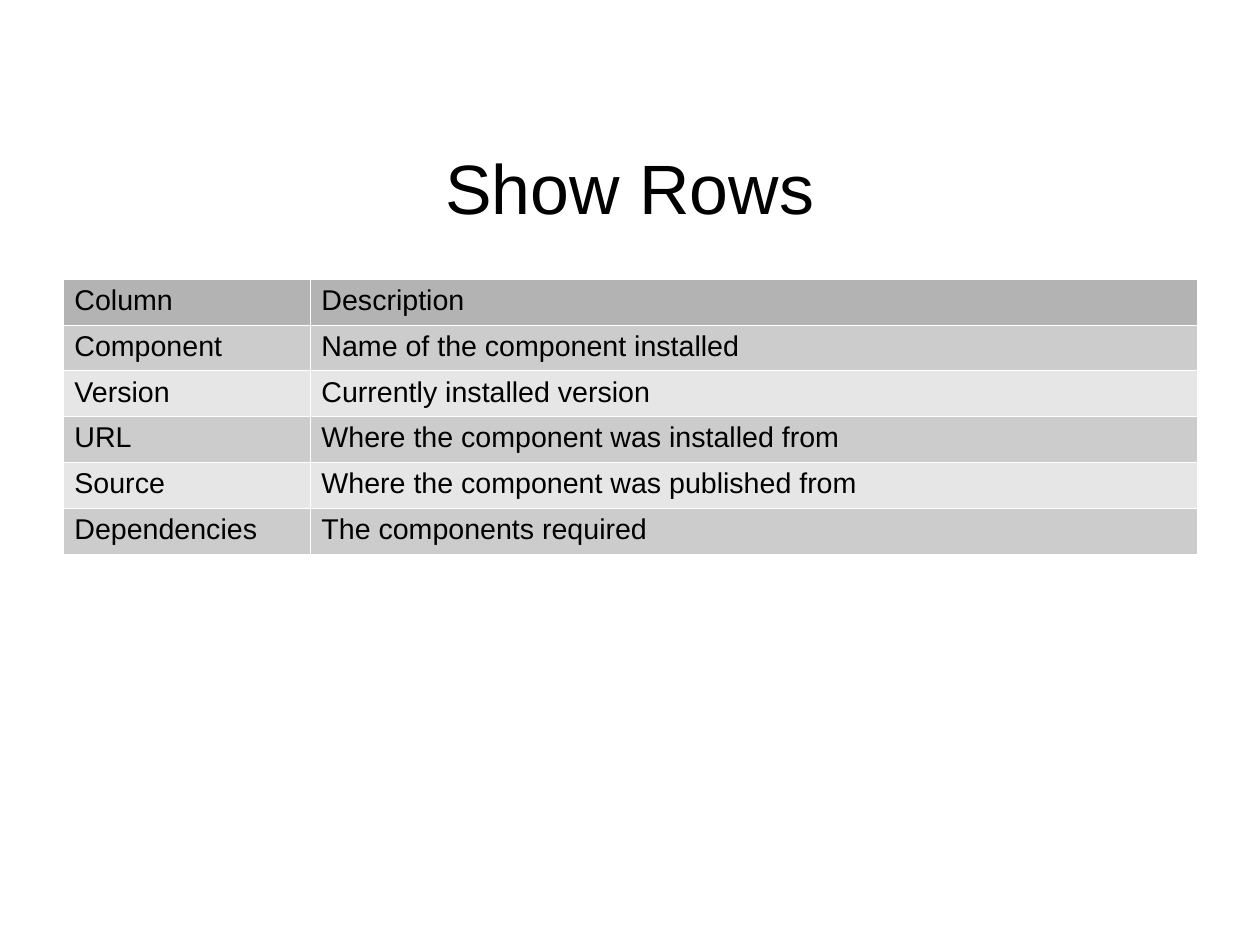
from lxml.etree import SubElement
from pptx import Presentation
from pptx.dml.color import RGBColor
from pptx.enum.text import MSO_ANCHOR, PP_ALIGN
from pptx.oxml.ns import qn
from pptx.util import Cm, Pt

COLORS = {
    "text": "000000",
    "border": "FFFFFF",
    "header": "B3B3B3",
    "odd": "CCCCCC",
    "even": "E6E6E6",
}
FONT = "Arial"
LEFT, WIDTH = Cm(1.4), Cm(25.2)
COLUMN_WIDTHS = (Cm(5.49), Cm(19.71))
ROW_HEIGHT = Cm(0.94)
ROWS = [
    ("Column", "Description"),
    ("Component", "Name of the component installed"),
    ("Version", "Currently installed version"),
    ("URL", "Where the component was installed from"),
    ("Source", "Where the component was published from"),
    ("Dependencies", "The components required"),
]


def rgb(name):
    return RGBColor.from_string(COLORS[name])


def write(tf, text, size, align=PP_ALIGN.LEFT):
    p = tf.paragraphs[0]
    p.text = text
    p.alignment = align
    p.font.name = FONT
    p.font.size = Pt(size)
    p.font.color.rgb = rgb("text")


def add_title(s, text):
    tf = s.shapes.add_textbox(LEFT, Cm(2.7), WIDTH, Cm(2.9)).text_frame
    tf.word_wrap = True
    tf.vertical_anchor = MSO_ANCHOR.MIDDLE
    tf.margin_left = tf.margin_right = tf.margin_top = tf.margin_bottom = 0
    write(tf, text, 44, PP_ALIGN.CENTER)


def set_borders(cell):
    tcPr = cell._tc.get_or_add_tcPr()
    for side in ("a:lnL", "a:lnR", "a:lnT", "a:lnB"):
        ln = SubElement(tcPr, qn(side), w=str(Pt(0.06)))
        fill = SubElement(ln, qn("a:solidFill"))
        SubElement(fill, qn("a:srgbClr"), val=COLORS["border"])


def row_color(index):
    if index == 0:
        return "header"
    return "odd" if index % 2 else "even"


def add_grid(s, rows):
    table = s.shapes.add_table(
        len(rows), len(COLUMN_WIDTHS), LEFT, Cm(6.2), WIDTH, ROW_HEIGHT * len(rows)
    ).table
    table.first_row = table.horz_banding = False
    for column, width in zip(table.columns, COLUMN_WIDTHS):
        column.width = width
    for i, texts in enumerate(rows):
        table.rows[i].height = ROW_HEIGHT
        for j, text in enumerate(texts):
            cell = table.cell(i, j)
            set_borders(cell)
            cell.fill.solid()
            cell.fill.fore_color.rgb = rgb(row_color(i))
            write(cell.text_frame, text, 18)


def main():
    prs = Presentation()
    prs.slide_width, prs.slide_height = Cm(28), Cm(21)
    s = prs.slides.add_slide(prs.slide_layouts[6])
    add_title(s, "Show Rows")
    add_grid(s, ROWS)
    prs.save("out.pptx")


if __name__ == "__main__":
    main()
